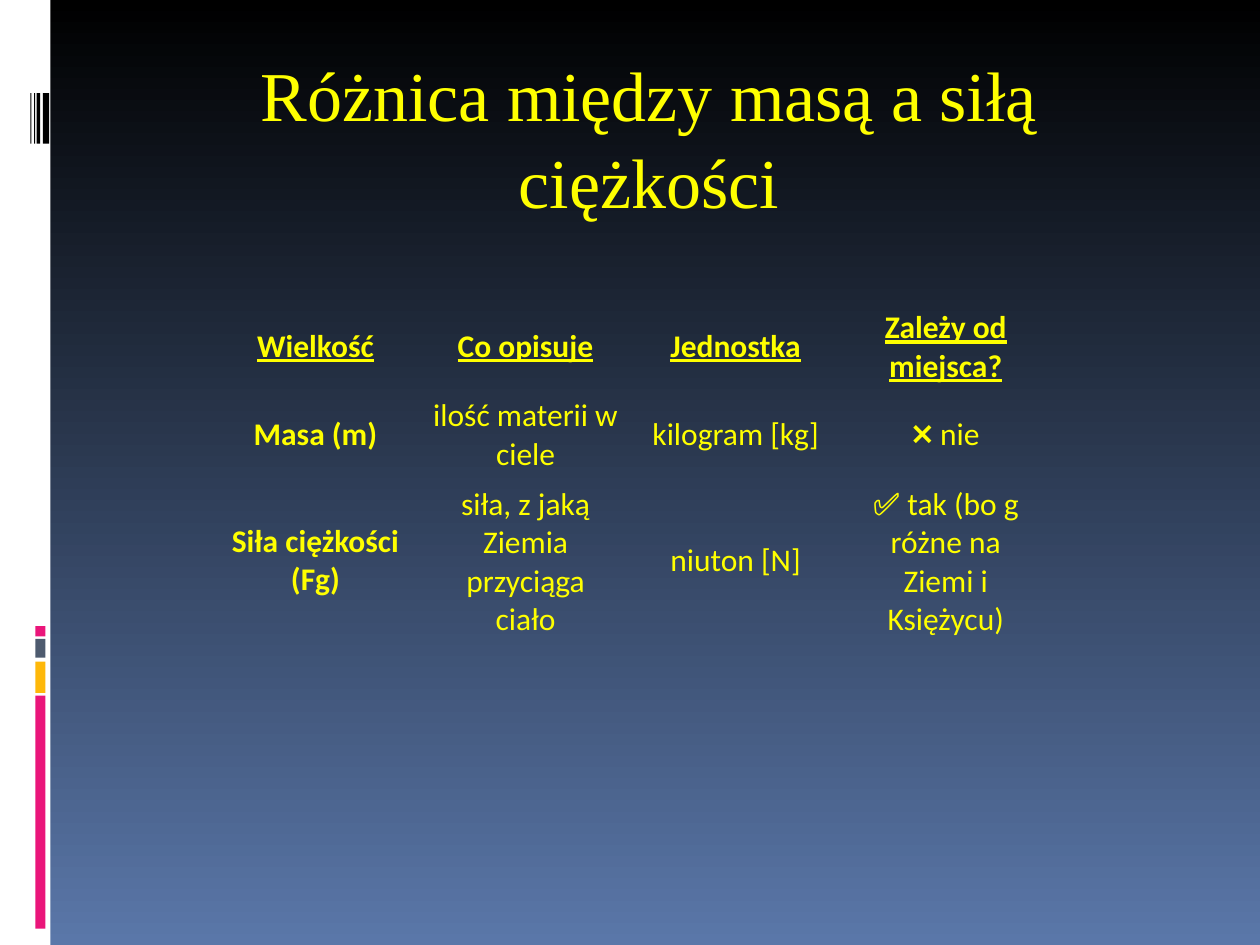
from pptx import Presentation
from pptx.dml.color import RGBColor
from pptx.enum.shapes import MSO_SHAPE as Shape
from pptx.enum.text import MSO_ANCHOR as Anchor, PP_ALIGN as Align
from pptx.util import Inches, Pt

COLORS = {
    "black": "000000",
    "sky": "5A77A9",
    "white": "FFFFFF",
    "pink": "EA157A",
    "amber": "FEB80A",
    "slate": "4E5B6F",
    "yellow": "FFFF00",
}
NO_STYLE_NO_GRID = "{2D5ABB26-0587-4C30-8999-92F81FD0307C}"


def rgb(name):
    return RGBColor.from_string(COLORS[name])


class SlideBuilder:
    title_font, body_font = "Times New Roman", "Calibri"
    title_size, body_size = Pt(40), Pt(18)

    def __init__(self, slide):
        self.slide = slide

    def background(self, top, bottom):
        fill = self.slide.background.fill
        fill.gradient()
        fill.gradient_angle = 270
        for stop, name, position in zip(fill.gradient_stops, (top, bottom), (0, 1)):
            stop.color.rgb = rgb(name)
            stop.position = position

    def bar(self, left, top, width, height, color):
        bar = self.slide.shapes.add_shape(
            Shape.RECTANGLE, Inches(left), Inches(top), Inches(width), Inches(height))
        bar.shadow.inherit = False
        bar.fill.solid()
        bar.fill.fore_color.rgb = rgb(color)
        bar.line.fill.background()

    def add_text(self, paragraph, text, font, size, bold=False, underline=False):
        paragraph.alignment = Align.CENTER
        run = paragraph.add_run()
        run.text = text
        run.font.name, run.font.size = font, size
        run.font.bold, run.font.underline = bold, underline
        run.font.color.rgb = rgb("yellow")

    def title(self, text, left, top, width, height):
        frame = self.slide.shapes.add_textbox(
            Inches(left), Inches(top), Inches(width), Inches(height)).text_frame
        frame.word_wrap = True
        frame.margin_top = Inches(0.1)
        heading = frame.paragraphs[0]
        heading.line_spacing = 1.04
        self.add_text(heading, text, self.title_font, self.title_size)

    def table(self, rows, left, top, width, heights):
        frame = self.slide.shapes.add_table(
            len(rows), len(rows[0]), Inches(left), Inches(top),
            Inches(width), Inches(sum(heights)))
        table = frame.table
        table.first_row = table.horz_banding = False
        table._tbl.tblPr[0].text = NO_STYLE_NO_GRID
        for r, (texts, height) in enumerate(zip(rows, heights)):
            table.rows[r].height = Inches(height)
            for c, text in enumerate(texts):
                cell = table.cell(r, c)
                cell.fill.background()
                cell.vertical_anchor = Anchor.MIDDLE
                self.add_text(cell.text_frame.paragraphs[0], text, self.body_font,
                              self.body_size, bold=r == 0 or c == 0, underline=r == 0)


def main():
    prs = Presentation()
    prs.slide_width, prs.slide_height = Inches(10), Inches(7.5)
    builder = SlideBuilder(prs.slides.add_slide(prs.slide_layouts[6]))
    builder.background("black", "sky")

    # Side strip with its coloured blocks
    builder.bar(0, 0, 0.4, 7.5, "white")
    for top, height, color in [(5.52, 1.85, "pink"), (5.25, 0.25, "amber"),
                               (5.07, 0.15, "slate"), (4.97, 0.08, "pink")]:
        builder.bar(0.28, top, 0.08, height, color)

    # Black stripes, thinning to the left
    for left, width in [(0.34, 0.05), (0.29, 0.03), (0.27, 0.01), (0.24, 0.01)]:
        builder.bar(left, 0.74, width, 0.4, "black")

    # Title and comparison table
    builder.title("Różnica między masą a siłą ciężkości", 0.9, 0.28, 8.5, 0.51)
    builder.table([
        ["Wielkość", "Co opisuje", "Jednostka", "Zależy od miejsca?"],
        ["Masa (m)", "ilość materii w ciele", "kilogram [kg]", "❌ nie"],
        ["Siła ciężkości (Fg)", "siła, z jaką Ziemia przyciąga ciało",
         "niuton [N]", "✅ tak (bo g różne na Ziemi i Księżycu)"],
    ], 1.67, 2.4, 6.67, [0.7, 0.7, 1.3])

    prs.save("out.pptx")


if __name__ == "__main__":
    main()
